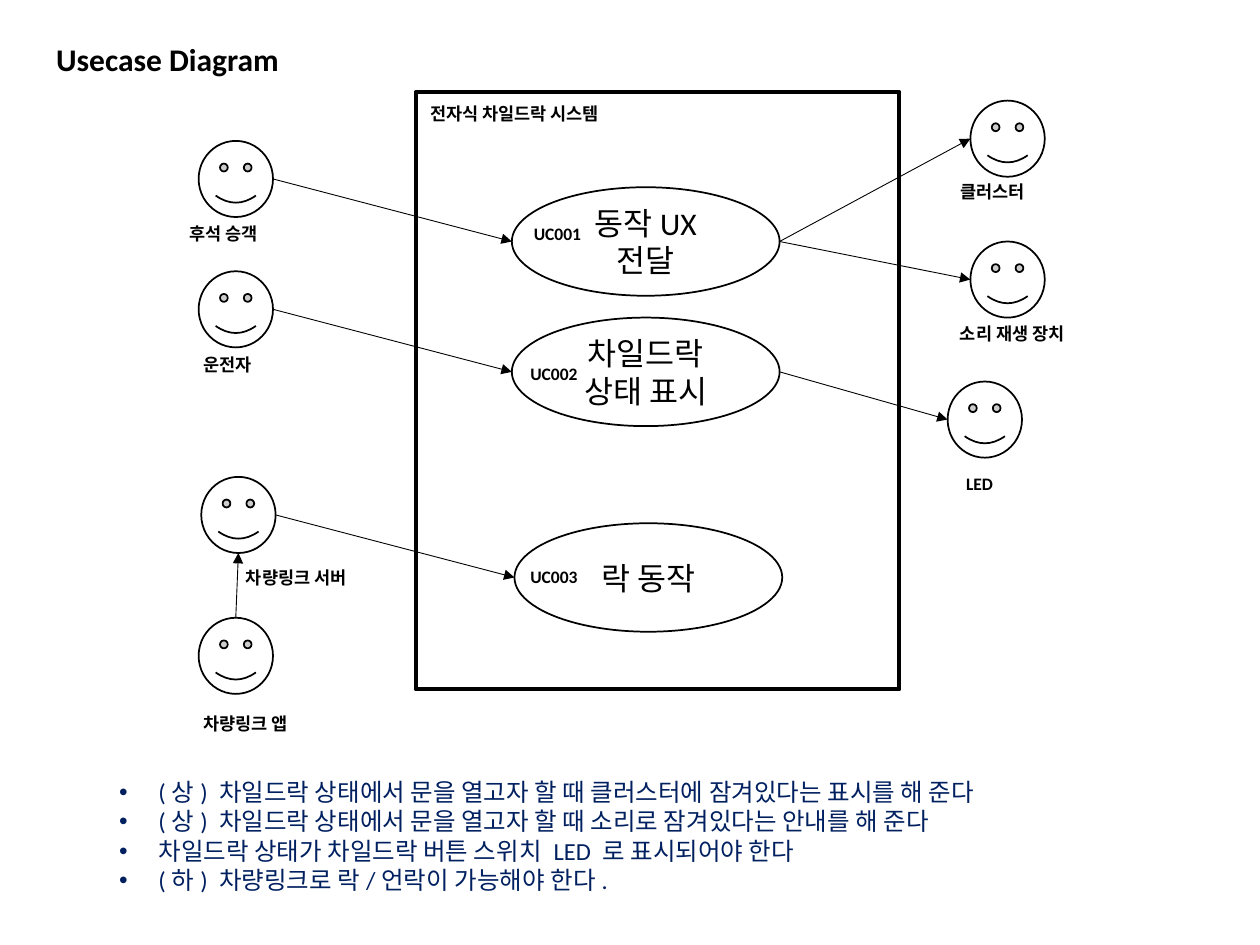
import pptx
import pptx.util
import pptx.dml.color
import pptx.enum.shapes
import pptx.enum.text
import pptx.oxml.ns
import lxml.etree

Pt = pptx.util.Pt
SHAPE = pptx.enum.shapes.MSO_SHAPE
ALIGN = pptx.enum.text.PP_ALIGN
ANCHOR = pptx.enum.text.MSO_ANCHOR


def color(hex_value):
    return pptx.dml.color.RGBColor.from_string(hex_value)


def add_xml(parent, tag, **attrs):
    return lxml.etree.SubElement(parent, pptx.oxml.ns.qn(tag), attrs)


class Diagram:
    font, ink, paper, note = "Calibri", "000000", "FFFFFF", "002060"
    actor_size = (42.5, 43.5)
    case_size = (153, 62)

    def __init__(self, s):
        self.s = s

    def style(self, tf, size, bold=False, ink=None, align=ALIGN.LEFT):
        for p in tf.paragraphs:
            p.alignment = align
            for r in p.runs:
                r.font.name, r.font.size, r.font.bold = self.font, Pt(size), bold
                r.font.color.rgb = color(ink or self.ink)

    def text(self, text, x, y, w, h, size=10, wrap=False):
        tf = self.s.shapes.add_textbox(Pt(x), Pt(y), Pt(w), Pt(h)).text_frame
        tf.text = text
        tf.word_wrap = wrap
        self.style(tf, size, bold=True)

    def shape(self, kind, x, y, w, h, line=1):
        sp = self.s.shapes.add_shape(kind, Pt(x), Pt(y), Pt(w), Pt(h))
        sp.shadow.inherit = False
        sp.fill.solid()
        sp.fill.fore_color.rgb = color(self.paper)
        if line:
            sp.line.color.rgb = color(self.ink)
            sp.line.width = Pt(line)
        else:
            sp.line.fill.background()
        return sp

    def actor(self, x, y, name, label_x, label_y, label_w):
        self.text(name, label_x, label_y, label_w, 19.5)
        return self.shape(SHAPE.SMILEY_FACE, x, y, *self.actor_size)

    def use_case(self, x, y, name, code, code_x, code_y):
        sp = self.shape(SHAPE.OVAL, x, y, *self.case_size)
        tf = sp.text_frame
        tf.text = name
        tf.word_wrap = True
        tf.vertical_anchor = ANCHOR.MIDDLE
        self.style(tf, 18, align=ALIGN.CENTER)
        self.text(code, code_x, code_y, 42, 19.5)
        return sp

    def bullets(self, lines, x, y, w, h):
        tf = self.shape(SHAPE.RECTANGLE, x, y, w, h, line=0).text_frame
        tf.text = "\n".join(lines)
        tf.word_wrap = True
        tf.vertical_anchor = ANCHOR.TOP
        self.style(tf, 14, ink=self.note)
        for p in tf.paragraphs:
            p.level = 1
            pPr = p._p.get_or_add_pPr()
            pPr.set("marL", str(Pt(58.5)))
            pPr.set("indent", str(-Pt(22.5)))
            add_xml(pPr, "a:buFont", typeface="Arial")
            add_xml(pPr, "a:buChar", char="•")

    def arrow(self, start, end):
        c = self.s.shapes.add_connector(
            pptx.enum.shapes.MSO_CONNECTOR.STRAIGHT, *start, *end)
        c.line.color.rgb = color(self.ink)
        c.line.width = Pt(0.5)
        add_xml(c.line._get_or_add_ln(), "a:tailEnd", type="triangle")
        add_xml(c._element.spPr, "a:effectLst")

    def link(self, source, target):
        """Arrow from the right side of one shape to the left of another."""
        self.arrow((source.left + source.width, source.top + source.height // 2),
                   (target.left, target.top + target.height // 2))

    def link_up(self, source, target):
        """Arrow from the top of one shape to the bottom of another."""
        self.arrow((source.left + source.width // 2, source.top),
                   (target.left + target.width // 2, target.top + target.height))


prs = pptx.Presentation()
prs.slide_width, prs.slide_height = Pt(720), Pt(540)
s = prs.slides.add_slide(prs.slide_layouts[6])
d = Diagram(s)

# Title and system boundary
d.text("Usecase Diagram", 25, 19.5, 410, 29, size=18, wrap=True)
d.shape(SHAPE.RECTANGLE, 237.5, 52.5, 276.5, 341.5, line=2.25)
d.text("전자식 차일드락 시스템", 239, 55.5, 120, 19.5)

# Use cases
ux = d.use_case(292.5, 107, "동작UX 전달", "UC001", 298, 124)
status = d.use_case(292.5, 181.5, "차일드락 상태 표시", "UC002", 296, 204)
lock = d.use_case(294, 299, "락 동작", "UC003", 296, 320)

# Actors on the left
passenger = d.actor(113.5, 80.5, "후석 승객", 101, 124, 57)
driver = d.actor(113.5, 155, "운전자", 109, 199, 44.5)
server = d.actor(115, 272.5, "차량링크 서버", 133.5, 320.5, 77)
app = d.actor(113.5, 353, "차량링크 앱", 109, 404, 67)

# Actors on the right
cluster = d.actor(554.5, 57.5, "클러스터", 541.5, 100, 54.5)
sound = d.actor(554.5, 138, "소리 재생 장치", 541.5, 181, 80)
led = d.actor(541.5, 218, "LED", 545, 267, 30)

# Links
for source, target in [(passenger, ux), (driver, status), (server, lock),
                       (ux, cluster), (ux, sound), (status, led)]:
    d.link(source, target)
d.link_up(app, server)

# Requirements
d.bullets(["(상) 차일드락 상태에서 문을 열고자 할 때 클러스터에 잠겨있다는 표시를 해 준다",
           "(상) 차일드락 상태에서 문을 열고자 할 때 소리로 잠겨있다는 안내를 해 준다",
           "차일드락 상태가 차일드락 버튼 스위치 LED 로 표시되어야 한다",
           "(하) 차량링크로 락/언락이 가능해야 한다."], 25, 440.5, 667, 75)

prs.save("out.pptx")
